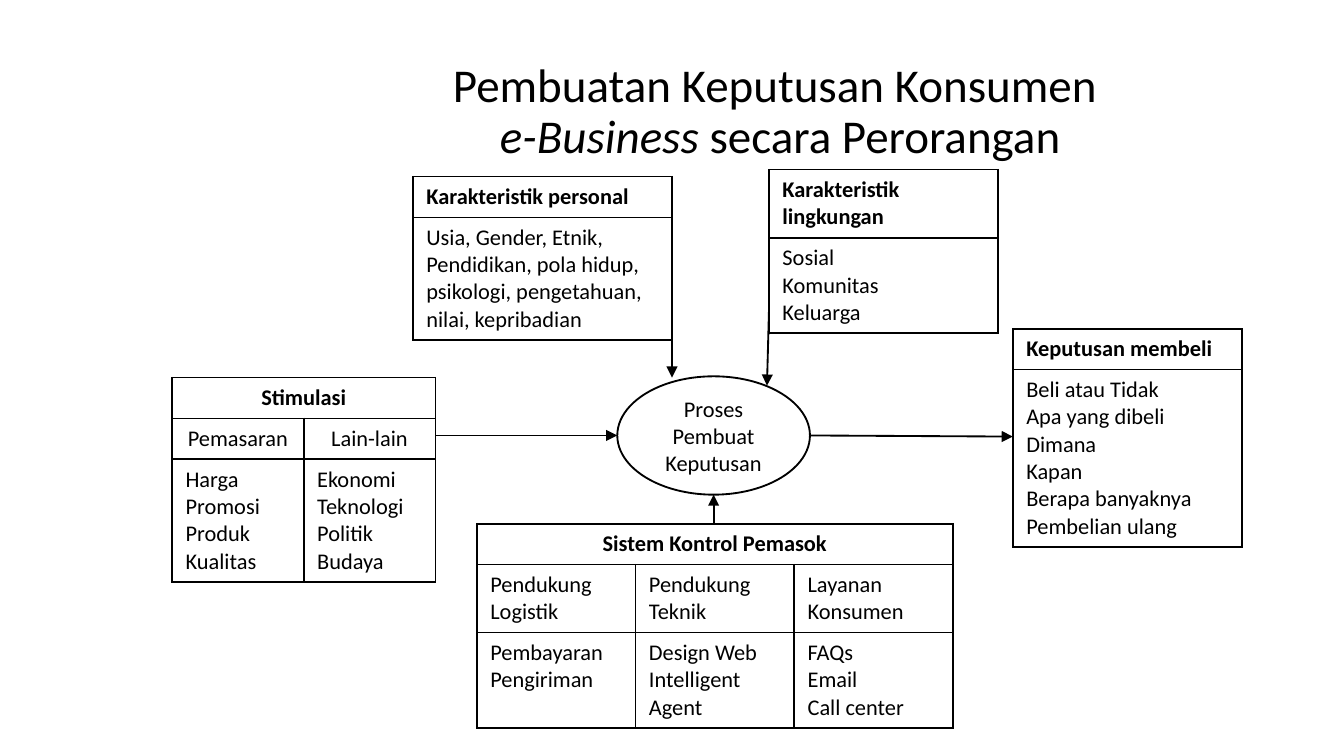
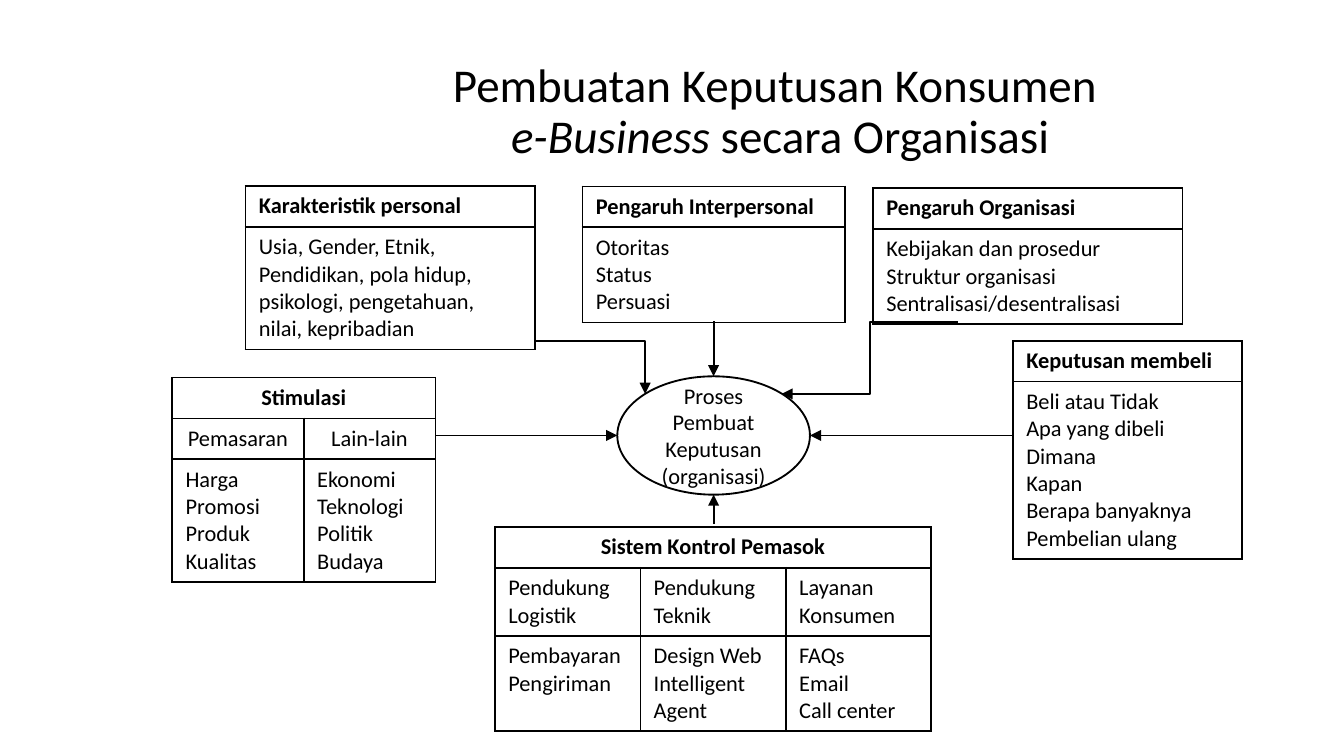
"""Build two diagrams of how e-business consumers decide to buy."""
from dataclasses import dataclass

from lxml.etree import SubElement
from pptx import Presentation
from pptx.dml.color import RGBColor
from pptx.enum.shapes import MSO_CONNECTOR, MSO_SHAPE
from pptx.enum.text import MSO_ANCHOR, MSO_AUTO_SIZE, PP_ALIGN
from pptx.oxml.ns import qn
from pptx.util import Pt

FONT = "Calibri"
BLACK = "000000"
TITLE_SIZE = 25.2
TEXT_SIZE = 12
LINE_WIDTH = 1
MIDDLE_X = 382.3
MIDDLE_Y = 233.3
OVAL_WIDTH = 103.2
OVAL_HEIGHT = 63.4
OVAL_LEFT = MIDDLE_X - OVAL_WIDTH / 2
OVAL_RIGHT = MIDDLE_X + OVAL_WIDTH / 2
OVAL_TOP = MIDDLE_Y - OVAL_HEIGHT / 2
OVAL_BOTTOM = MIDDLE_Y + OVAL_HEIGHT / 2


@dataclass(frozen=True)
class Box:
    heading: str
    left: float
    top: float
    width: float
    height: float
    row_heights: tuple[float, ...]
    rows: tuple[tuple[str, ...], ...]
    centred_rows: int = 0


@dataclass(frozen=True)
class Arrow:
    start: tuple[float, float]
    end: tuple[float, float]
    preset: str = "line"


@dataclass(frozen=True)
class Diagram:
    audience: str
    process: str
    boxes: tuple[Box, ...]
    arrows: tuple[Arrow, ...]


def list_box(heading: str, left: float, top: float, width: float, height: float,
             body: str) -> Box:
    return Box(heading, left, top, width, height, (20, 29.5), ((body,),))


def personal_box(left: float, top: float, width: float) -> Box:
    return list_box("Karakteristik personal", left, top, width, 86.4,
                    "Usia, Gender, Etnik, Pendidikan, pola hidup, psikologi, "
                    "pengetahuan, nilai, kepribadian")


def purchase_box(top: float) -> Box:
    return list_box("Keputusan membeli", 542.6, top, 122.6, 115.2,
                    "Beli atau Tidak\nApa yang dibeli\nDimana\nKapan\n"
                    "Berapa banyaknya\nPembelian ulang")


def supplier_box(left: float, top: float, width: float) -> Box:
    return Box("Sistem Kontrol Pemasok", left, top, width, 108, (20, 24, 29.5), (
        ("Pendukung Logistik", "Pendukung Teknik", "Layanan Konsumen"),
        ("Pembayaran\nPengiriman", "Design Web\nIntelligent\nAgent",
         "FAQs\nEmail\nCall center"),
    ), 1)


STIMULUS_BOX = Box("Stimulasi", 92.2, 202.3, 141, 108, (18.7, 16.6, 16.6), (
    ("Pemasaran", "Lain-lain"),
    ("Harga\nPromosi\nProduk\nKualitas", "Ekonomi\nTeknologi\nPolitik\nBudaya"),
), 2)

SHARED_ARROWS = (
    Arrow((233.2, MIDDLE_Y), (OVAL_LEFT, MIDDLE_Y)),
    Arrow((MIDDLE_X, 280.8), (MIDDLE_X, OVAL_BOTTOM)),
)

DIAGRAMS = (
    Diagram("Perorangan", "Proses Pembuat Keputusan", (
        supplier_box(255.5, 280.6, 255),
        personal_box(221.2, 94.6, 138.8),
        list_box("Karakteristik lingkungan", 412, 90.9, 122.6, 86.4,
                 "Sosial\nKomunitas\nKeluarga"),
        purchase_box(176.2),
        STIMULUS_BOX,
    ), SHARED_ARROWS + (
        Arrow((360, 177.1), (360, 202.3)),
        Arrow((412, 164.9), (410.9, 206.6)),
        Arrow((OVAL_RIGHT, MIDDLE_Y), (542.6, 233.9)),
    )),
    Diagram("Organisasi", "Proses Pembuat Keputusan (organisasi)", (
        supplier_box(265.1, 282.3, 233.8),
        personal_box(131.5, 99.6, 155),
        list_box("Pengaruh Interpersonal", 312, 99.9, 140.7, 72,
                 "Otoritas\nStatus\nPersuasi"),
        purchase_box(182.6),
        STIMULUS_BOX,
        list_box("Pengaruh Organisasi", 467.6, 100.7, 165.8, 72,
                 "Kebijakan dan prosedur\nStruktur organisasi\n"
                 "Sentralisasi/desentralisasi"),
    ), SHARED_ARROWS + (
        Arrow((542.6, MIDDLE_Y), (OVAL_RIGHT, MIDDLE_Y)),
        Arrow((286.5, 182.6), (345.6, 211)  , "bentConnector2"),
        Arrow((MIDDLE_X, 172), (MIDDLE_X, OVAL_TOP)),
        Arrow((513.2, 172.6), (418.8, 211), "bentConnector3"),
    )),
)


def colour(value: str) -> RGBColor:
    return RGBColor.from_string(value)


def add_text(paragraph, text: str, size: float = TEXT_SIZE, bold: bool = False,
             italic: bool = False) -> None:
    run = paragraph.add_run()
    run.text = text
    run.font.name = FONT
    run.font.size = Pt(size)
    run.font.bold = bold
    run.font.italic = italic
    run.font.color.rgb = colour(BLACK)


def add_title(slide, audience: str) -> None:
    title = slide.shapes.title
    title.left, title.top, title.width, title.height = Pt(198), Pt(34.6), Pt(440), Pt(51.8)
    frame = title.text_frame
    frame.auto_size = MSO_AUTO_SIZE.NONE
    frame.vertical_anchor = MSO_ANCHOR.MIDDLE
    paragraph = frame.paragraphs[0]
    paragraph.alignment = PP_ALIGN.CENTER
    paragraph.line_spacing = 0.9
    add_text(paragraph, "Pembuatan Keputusan Konsumen ", TITLE_SIZE)
    paragraph.add_line_break()
    add_text(paragraph, "e-Business ", TITLE_SIZE, italic=True)
    add_text(paragraph, f"secara {audience}", TITLE_SIZE)


def outline_cell(cell) -> None:
    properties = cell._tc.get_or_add_tcPr()
    for side in ("a:lnL", "a:lnR", "a:lnT", "a:lnB"):
        border = SubElement(properties, qn(side), w=str(Pt(LINE_WIDTH)))
        fill = SubElement(border, qn("a:solidFill"))
        SubElement(fill, qn("a:srgbClr"), val=BLACK)
    cell.fill.background()


def fill_cell(cell, text: str, bold: bool, centred: bool) -> None:
    frame = cell.text_frame
    for index, line in enumerate(text.split("\n")):
        paragraph = frame.add_paragraph() if index else frame.paragraphs[0]
        paragraph.alignment = PP_ALIGN.CENTER if centred else PP_ALIGN.LEFT
        add_text(paragraph, line, bold=bold)


def add_box(slide, box: Box) -> None:
    column_count = len(box.rows[0])
    graphic = slide.shapes.add_table(len(box.rows) + 1, column_count, Pt(box.left),
                                     Pt(box.top), Pt(box.width), Pt(box.height))
    table = graphic.table
    table.first_row = False
    table.horz_banding = False
    for row, height in zip(table.rows, box.row_heights):
        row.height = Pt(height)
    graphic.height = Pt(box.height)
    for cell in table.iter_cells():
        outline_cell(cell)
    heading = table.cell(0, 0)
    if column_count > 1:
        heading.merge(table.cell(0, column_count - 1))
    fill_cell(heading, box.heading, True, box.centred_rows > 0)
    for row_index, texts in enumerate(box.rows, start=1):
        for column_index, text in enumerate(texts):
            fill_cell(table.cell(row_index, column_index), text, False,
                      row_index < box.centred_rows)


def add_process(slide, text: str) -> None:
    oval = slide.shapes.add_shape(MSO_SHAPE.OVAL, Pt(OVAL_LEFT), Pt(OVAL_TOP),
                                  Pt(OVAL_WIDTH), Pt(OVAL_HEIGHT))
    oval.shadow.inherit = False
    oval.fill.background()
    oval.line.color.rgb = colour(BLACK)
    oval.line.width = Pt(LINE_WIDTH)
    frame = oval.text_frame
    frame.word_wrap = True
    frame.vertical_anchor = MSO_ANCHOR.MIDDLE
    paragraph = frame.paragraphs[0]
    paragraph.alignment = PP_ALIGN.CENTER
    add_text(paragraph, text)


def add_arrow(slide, arrow: Arrow) -> None:
    kind = MSO_CONNECTOR.STRAIGHT if arrow.preset == "line" else MSO_CONNECTOR.ELBOW
    points = (Pt(value) for value in arrow.start + arrow.end)
    connector = slide.shapes.add_connector(kind, *points)
    connector.line.color.rgb = colour(BLACK)
    connector.line.width = Pt(LINE_WIDTH)
    properties = connector._element.spPr
    properties.find(qn("a:prstGeom")).set("prst", arrow.preset)
    SubElement(properties.find(qn("a:ln")), qn("a:tailEnd"), type="triangle")
    SubElement(properties, qn("a:effectLst"))


def main() -> None:
    presentation = Presentation()
    presentation.slide_width = Pt(720)
    presentation.slide_height = Pt(405)
    for diagram in DIAGRAMS:
        slide = presentation.slides.add_slide(presentation.slide_layouts[5])
        add_title(slide, diagram.audience)
        for box in diagram.boxes:
            add_box(slide, box)
        add_process(slide, diagram.process)
        for arrow in diagram.arrows:
            add_arrow(slide, arrow)
    presentation.save("out.pptx")


if __name__ == "__main__":
    main()
